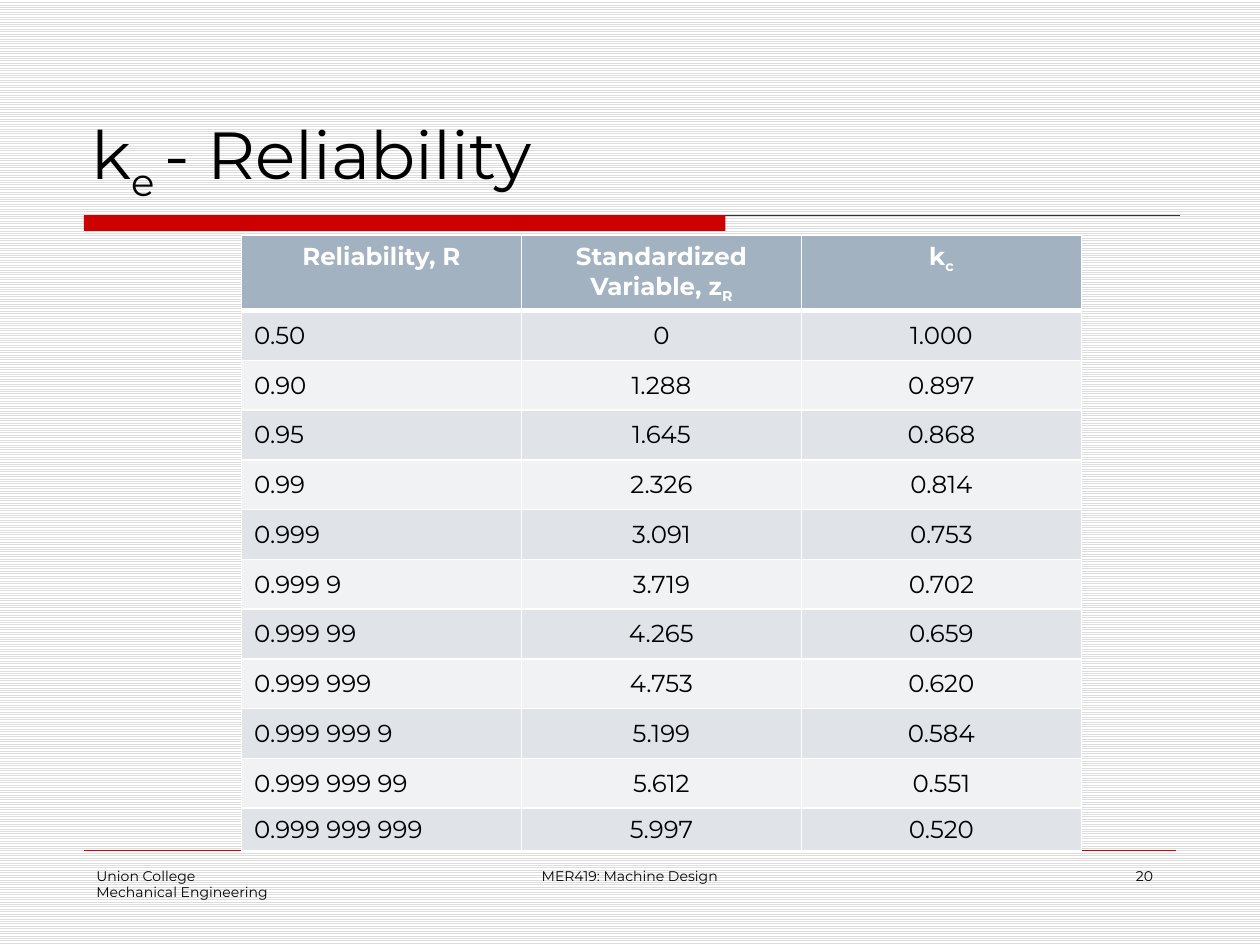
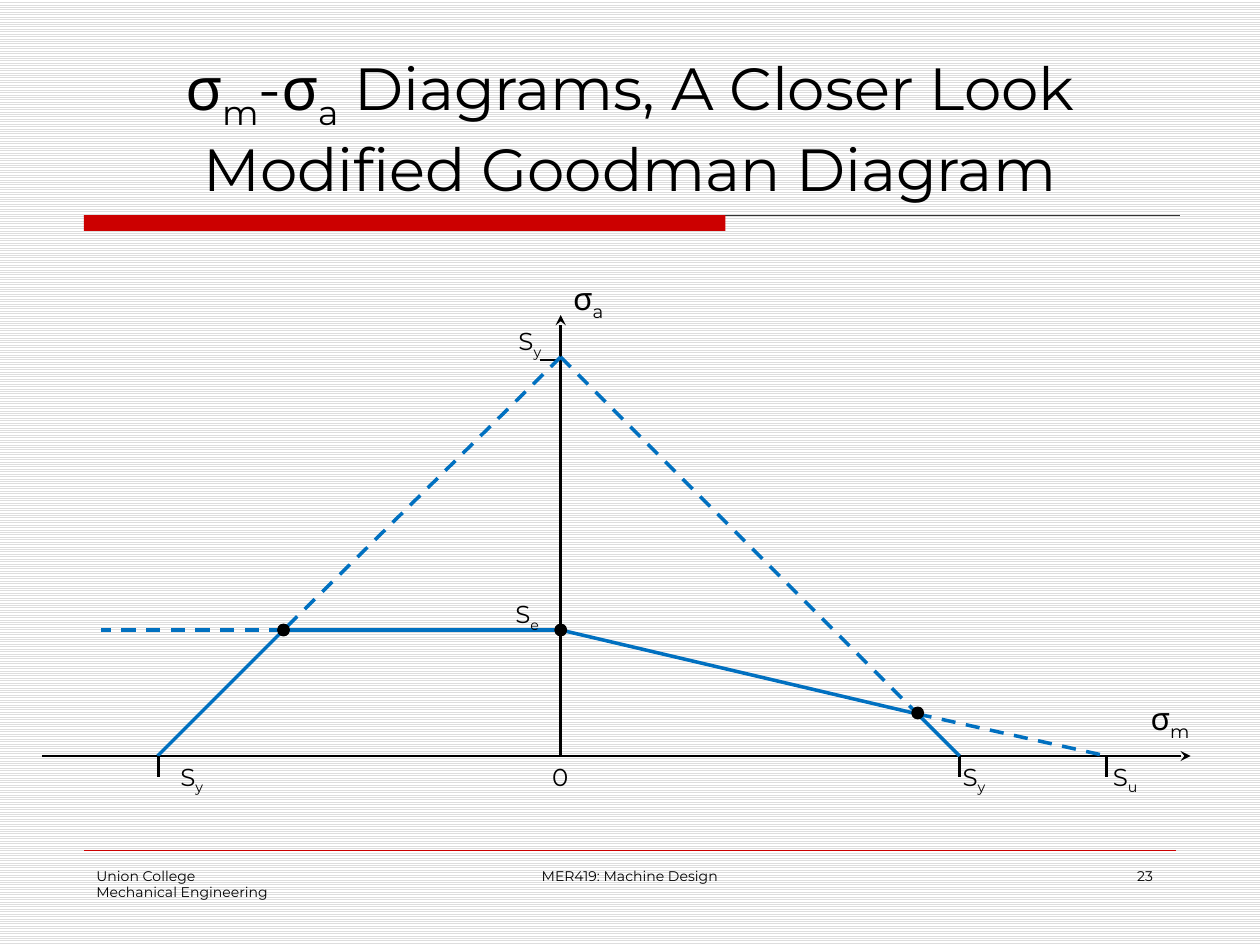
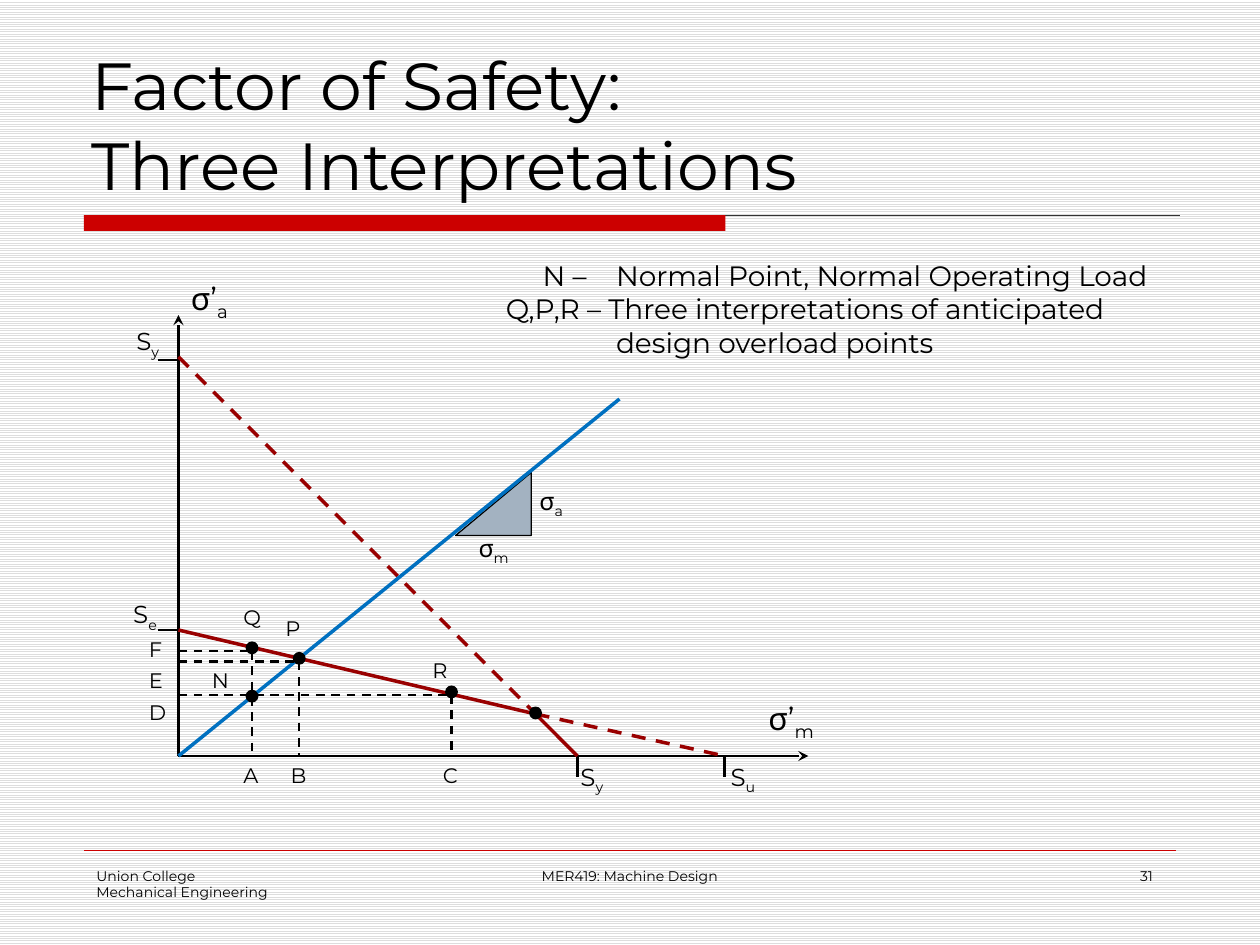
"""Build three machine design slides: a reliability table and two fatigue diagrams."""
from pptx import Presentation
from pptx.dml.color import RGBColor
from pptx.enum.dml import MSO_LINE, MSO_PATTERN
from pptx.enum.shapes import MSO_CONNECTOR, MSO_SHAPE
from pptx.enum.text import MSO_ANCHOR as ANCHOR, MSO_AUTO_SIZE, PP_ALIGN as ALIGN
from pptx.oxml.ns import qn
from pptx.util import Inches, Pt
from lxml.etree import SubElement, Element

COLOURS = {
    "black": "000000", "white": "FFFFFF", "stripe": "DDDDDD", "rule": "333333",
    "red": "CC0000", "dark red": "990000", "blue": "0070C0",
    "slate": "A3B2C1", "band": "E0E4E9", "light band": "F0F2F4",
}
PALETTE = {name: RGBColor.from_string(value) for name, value in COLOURS.items()}
FONT = "Montserrat"

presentation = Presentation()
presentation.slide_width, presentation.slide_height = Inches(10), Inches(7.5)
UNIT = presentation.slide_width // 120
BASE = 72


def write(frame, text, size, align=ALIGN.LEFT, colour="black", bold=False):
    """Write one paragraph; every second part between bars is a subscript."""
    paragraph = frame.paragraphs[0]
    if paragraph.runs:
        paragraph = frame.add_paragraph()
    paragraph.alignment = align
    for number, line in enumerate(text.split("\n")):
        if number:
            paragraph.add_line_break()
        for index, part in enumerate(line.split("|")):
            run = paragraph.add_run()
            run.text = part
            run.font.name, run.font.size, run.font.bold = FONT, Pt(size), bold
            run.font.color.rgb = PALETTE[colour]
            if index % 2:
                run.font._element.set("baseline", "-25000")
    return paragraph


def draw_line(slide, start, end, colour="black", width=1.5, dashed=False, arrow=False):
    """Draw a straight line between two grid points."""
    ends = [round(value * UNIT) for value in (*start, *end)]
    connector = slide.shapes.add_connector(MSO_CONNECTOR.STRAIGHT, *ends)
    connector.line.color.rgb = PALETTE[colour]
    connector.line.width = Pt(width)
    if dashed:
        connector.line.dash_style = MSO_LINE.DASH
    properties = connector._element.spPr
    if arrow:
        SubElement(properties.find(qn("a:ln")), qn("a:tailEnd"), type="stealth")
    SubElement(properties, qn("a:effectLst"))


titles = [
    ("k|e |- Reliability", 38, ALIGN.LEFT, "20"),
    ("σ|m|-σ|a| Diagrams, A Closer Look\nModified Goodman Diagram", 34, ALIGN.CENTER, "23"),
    ("Factor of Safety:\nThree Interpretations", 38, ALIGN.LEFT, "31"),
]
slides = []
for title, title_size, title_align, page in titles:
    slide = presentation.slides.add_slide(presentation.slide_layouts[6])
    slides.append(slide)
    background = slide.background.fill
    background.patterned()
    background.pattern = MSO_PATTERN.LIGHT_HORIZONTAL
    background.fore_color.rgb = PALETTE["stripe"]
    background.back_color.rgb = PALETTE["white"]

    draw_line(slide, (8, 20.5), (112.4, 20.5), "rule", 0.75)
    bar_box = [round(value * UNIT) for value in (8, 20.5, 61.1, 1.5)]
    bar = slide.shapes.add_shape(MSO_SHAPE.RECTANGLE, *bar_box)
    bar.shadow.inherit = False
    bar.fill.solid()
    bar.fill.fore_color.rgb = PALETTE["red"]
    bar.line.fill.background()
    draw_line(slide, (8, 81), (112, 81), "red", 0.25)

    for box, paragraphs, size, align, anchor in [
        ((7.5, 4, 105, 16), [title], title_size, title_align, ANCHOR.BOTTOM),
        ((8, 82, 25, 6), ["Union College", "Mechanical Engineering"], 8, ALIGN.LEFT, ANCHOR.TOP),
        ((41, 82, 38, 6), ["MER419: Machine Design"], 8, ALIGN.CENTER, ANCHOR.TOP),
        ((86, 82, 25, 6), [page], 8, ALIGN.RIGHT, ANCHOR.TOP),
    ]:
        frame = slide.shapes.add_textbox(*[round(value * UNIT) for value in box]).text_frame
        frame.word_wrap = True
        frame.vertical_anchor = anchor
        for text in paragraphs:
            write(frame, text, size, align)

reliability_slide, goodman_slide, safety_slide = slides

reliability_rows = [
    ("Reliability, R", "Standardized Variable, z|R", "k|c"),
    ("0.50", "0", "1.000"),
    ("0.90", "1.288", "0.897"),
    ("0.95", "1.645", "0.868"),
    ("0.99", "2.326", "0.814"),
    ("0.999", "3.091", "0.753"),
    ("0.999 9", "3.719", "0.702"),
    ("0.999 99", "4.265", "0.659"),
    ("0.999 999", "4.753", "0.620"),
    ("0.999 999 9", "5.199", "0.584"),
    ("0.999 999 99", "5.612", "0.551"),
    ("0.999 999 999", "5.997", "0.520"),
]
row_heights = [6.6] + [4.74] * 10 + [4]
table_box = [round(value * UNIT) for value in (23, 22.4, 80, sum(row_heights))]
table = reliability_slide.shapes.add_table(len(reliability_rows), 3, *table_box).table
for row, (values, height) in enumerate(zip(reliability_rows, row_heights)):
    table.rows[row].height = round(height * UNIT)
    header = row == 0
    for column, value in enumerate(values):
        cell = table.cell(row, column)
        cell.fill.solid()
        shade = "slate" if header else "band" if row % 2 else "light band"
        cell.fill.fore_color.rgb = PALETTE[shade]
        cell.vertical_anchor = ANCHOR.TOP if header else ANCHOR.MIDDLE
        align = ALIGN.CENTER if header or column else ALIGN.LEFT
        write(cell.text_frame, value, 14, align, "white" if header else "black", header)
        borders = {"a:lnL": 1, "a:lnR": 1, "a:lnT": 3 if row == 1 else 1, "a:lnB": 3 if header else 1}
        for position, (side, width) in enumerate(borders.items()):
            border = Element(qn(side), w=str(Pt(width)))
            fill = SubElement(border, qn("a:solidFill"))
            SubElement(fill, qn("a:srgbClr"), val=COLOURS["white"])
            cell._tc.get_or_add_tcPr().insert(position, border)

triangle_box = [round(value * UNIT) for value in (43.4, 45, 7.2, 6)]
triangle = safety_slide.shapes.add_shape(MSO_SHAPE.ISOSCELES_TRIANGLE, *triangle_box)
triangle.adjustments[0] = 1
triangle.shadow.inherit = False
triangle.fill.solid()
triangle.fill.fore_color.rgb = PALETTE["slate"]
triangle.line.color.rgb = PALETTE["black"]
triangle.line.width = Pt(0.75)

knee, yield_point, ultimate_point = (34, 68), (38, BASE), (52, BASE)
endurance, yield_top, left_knee = (0, 60), (0, 34), (-26.4, 60)
overloads = [(7, 62), (11.5, 63), (26, 66.2)]

goodman_lines = [
    (endurance, left_knee, "blue", 2, False),
    (left_knee, (-38.4, BASE), "blue", 2, False),
    (yield_top, left_knee, "blue", 2, True),
    (left_knee, (-43.8, 60), "blue", 2, True),
    ((-38.3, BASE), (-38.3, 74), "black", 1.5, False),
]
safety_lines = [((0, BASE), (42, 38), "blue", 2, False)]
for x, y in overloads:
    safety_lines.append(((x, y), (x, BASE), "black", 1.25, True))
    safety_lines.append(((0, y), (x, y), "black", 1.25, True))

goodman_labels = [("S|y", -37.4, 72, 5, 14), ("0", -2, 72, 4, 14)]
safety_labels = [("σ|a", 33.2, 45.7, 5.3, 14), ("σ|m", 27.4, 50.2, 5.8, 14)]
for letter, x, y in [
    ("A", 5, 72), ("B", 9.5, 72), ("C", 24, 72), ("D", -4, 66), ("E", -4, 63), ("F", -4, 60),
    ("Q", 5, 57), ("P", 9, 58), ("R", 23, 62), ("N", 2, 63),
]:
    safety_labels.append((letter, x, y, 4, 12))

goodman_dots = [left_knee, endurance]
safety_dots = [(7, 66.3)] + [(x, y - 0.3) for x, y in overloads]

for slide, origin, axis_start, colour, stress, stress_width, lines, dots, labels in [
    (goodman_slide, 53.4, -49.4, "blue", "σ", 6, goodman_lines, goodman_dots, goodman_labels),
    (safety_slide, 17, 0, "dark red", "σ’", 6.9, safety_lines, safety_dots, safety_labels),
]:
    draw_line(slide, (origin, BASE), (origin, 30), arrow=True)
    draw_line(slide, (origin + axis_start, BASE), (origin + 60, BASE), arrow=True)
    envelope = [
        ((-2, 34.3), (0, 34.3), "black", 1.5, False),
        ((-2, 60), (0, 60), "black", 1.5, False),
        (yield_point, (38, 74), "black", 1.5, False),
        (ultimate_point, (52, 74), "black", 1.5, False),
        (endurance, knee, colour, 2, False),
        (knee, yield_point, colour, 2, False),
        (yield_top, knee, colour, 2, True),
        (knee, ultimate_point, colour, 2, True),
    ]
    for (x1, y1), (x2, y2), *style in envelope + lines:
        draw_line(slide, (origin + x1, y1), (origin + x2, y2), *style)

    for x, y in dots + [(34, 67.9)]:
        dot_box = [round(value * UNIT) for value in (origin + x - 0.55, y - 0.55, 1.1, 1.1)]
        dot = slide.shapes.add_shape(MSO_SHAPE.OVAL, *dot_box)
        dot.shadow.inherit = False
        dot.fill.solid()
        dot.fill.fore_color.rgb = PALETTE["black"]
        dot.line.color.rgb = PALETTE["black"]
        dot.line.width = Pt(0.75)

    axis_labels = [
        ("S|y", -5.2, 30.5, 5, 14), ("S|e", -5.5, 56.5, 5.2, 14),
        (stress + "|m", 55, 66, stress_width + 0.7, 18), (stress + "|a", 0, 26, stress_width, 18),
        ("S|y", 37.1, 72, 5, 14), ("S|u", 51.4, 72, 5.2, 14),
    ]
    for text, x, y, width, size in axis_labels + labels:
        label_box = [round(value * UNIT) for value in (origin + x, y, width, 1.2 + 0.2 * size)]
        frame = slide.shapes.add_textbox(*label_box).text_frame
        frame.word_wrap = False
        frame.auto_size = MSO_AUTO_SIZE.SHAPE_TO_FIT_TEXT
        write(frame, text, size)

legend_box = [round(value * UNIT) for value in (47, 24, 67, 10.9)]
legend = safety_slide.shapes.add_textbox(*legend_box).text_frame
legend.word_wrap = True
legend.auto_size = MSO_AUTO_SIZE.SHAPE_TO_FIT_TEXT
for text, indent in [
    ("N – \tNormal Point, Normal Operating Load", -7),
    ("Q,P,R – Three interpretations of anticipated design overload points", -10.5),
]:
    properties = write(legend, text, 16)._p.get_or_add_pPr()
    properties.set("marL", str(round(10.5 * UNIT)))
    properties.set("indent", str(round(indent * UNIT)))
    tabs = SubElement(properties, qn("a:tabLst"))
    SubElement(tabs, qn("a:tab"), pos=str(round(10.5 * UNIT)), algn="l")

presentation.save("out.pptx")
